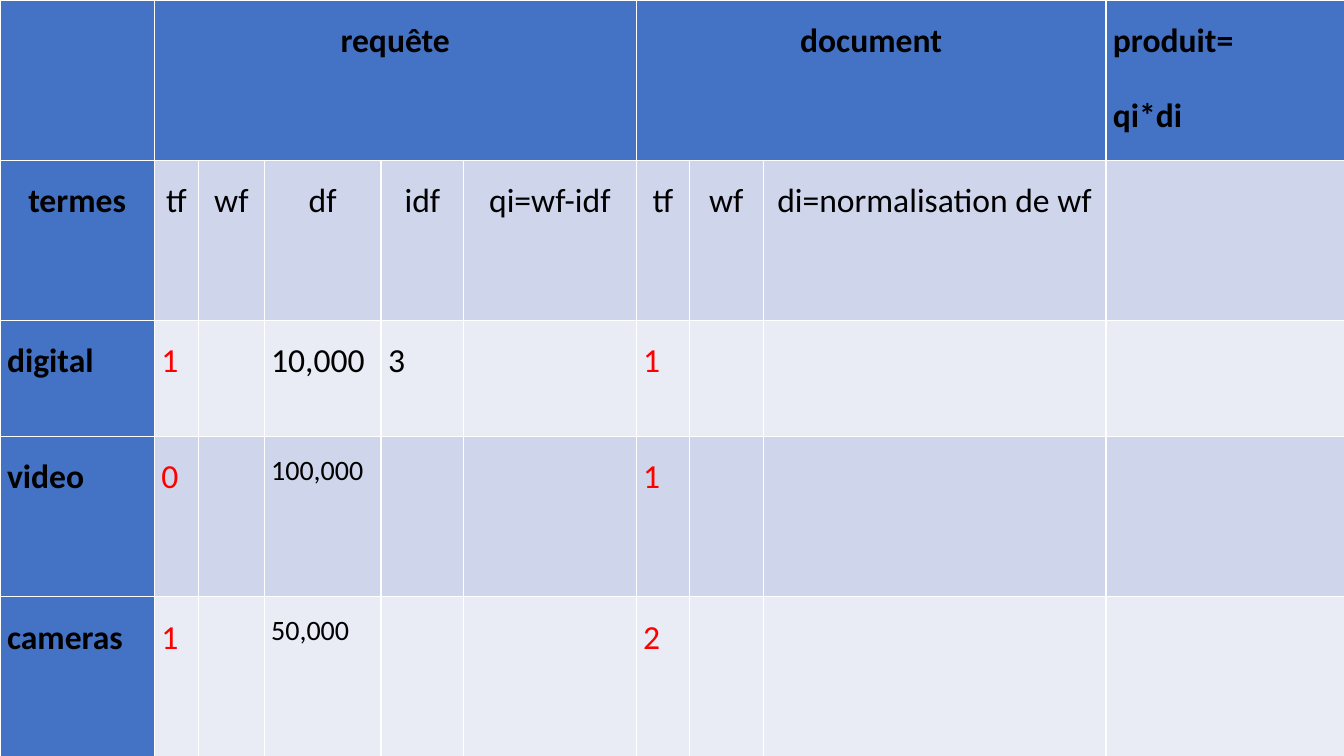
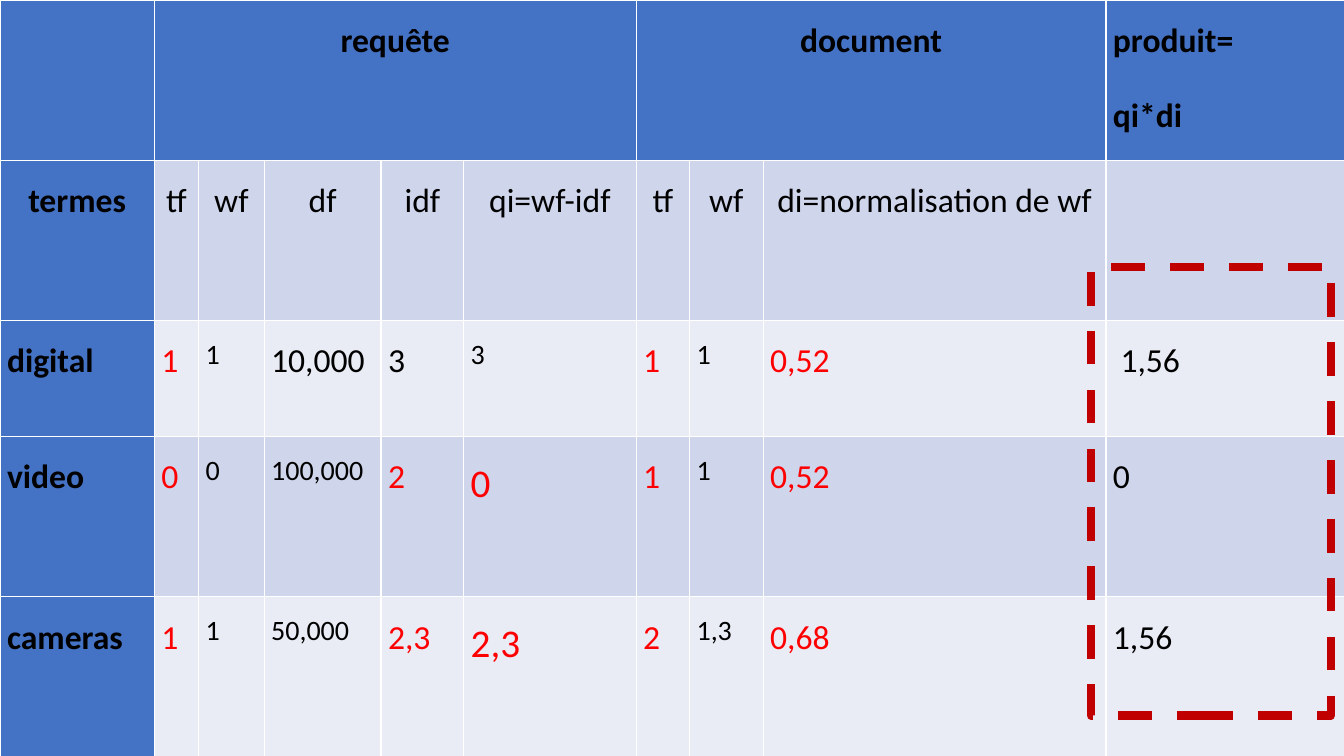
"""Two slides: a tf-idf scoring table to fill in, then the same table solved."""
from pptx import Presentation
from pptx import util as u
from pptx.dml.color import RGBColor
from pptx.enum import dml, shapes, text

FONT = "Calibri"
BLACK, RED, FRAME = "000000", "FF0000", "C00000"
BLUE, BANDS = "4472C4", ("CFD5EA", "E9EBF5")
WIDTH, HEIGHT = 13.33, 7.5

COLUMNS = [1.53, 0.44, 0.65, 1.16, 0.82, 1.71, 0.53, 0.73, 3.4, 2.37]
ROWS = [1.59, 1.59, 1.15, 1.59, 1.59]


def small(value):
    """Style a value as small black text."""
    return value, 20, BLACK


def plain(value):
    """Style a value as regular black text."""
    return value, 24, BLACK


def red(value, size=24):
    """Style a value as red text."""
    return value, size, RED


GROUPS = [("requête", 1, 5), ("document", 6, 8), ("produit=\nqi*di", 9, 9)]
HEADINGS = ["termes", "tf", "wf", "df", "idf", "qi=wf-idf", "tf", "wf", "di=normalisation de wf"]
GIVEN = [
    {0: plain("digital"), 1: red("1"), 3: plain("10,000"), 4: plain("3"), 6: red("1")},
    {0: plain("video"), 1: red("0"), 3: small("100,000"), 6: red("1")},
    {0: plain("cameras"), 1: red("1"), 3: small("50,000"), 6: red("2")},
]
RESULTS = [
    {2: small("1"), 5: small("3"), 7: small("1"), 8: red("0,52"), 9: plain(" 1,56")},
    {2: small("0"), 4: red("2"), 5: red("0", 28), 7: small("1"), 8: red("0,52"), 9: plain("0")},
    {2: small("1"), 4: red("2,3"), 5: red("2,3", 28), 7: small("1,3"), 8: red("0,68"), 9: plain("1,56")},
]


def rgb(code):
    """Turn a hex string into a colour."""
    return RGBColor.from_string(code)


def write(cell, entry, align=text.PP_ALIGN.JUSTIFY, bold=False):
    """Put a styled entry into a table cell."""
    value, size, colour = entry
    cell.margin_left = cell.margin_right = u.Inches(0.07)
    cell.margin_top = cell.margin_bottom = 0
    cell.text_frame.text = value
    for paragraph in cell.text_frame.paragraphs:
        paragraph.alignment = align
        paragraph.line_spacing = 1.5
        paragraph.space_after = u.Pt(10)
        font = paragraph.font
        font.name, font.size, font.bold = FONT, u.Pt(size), bold
        font.color.rgb = rgb(colour)


def add_scores(slide, term_rows):
    """Draw the scoring table over the whole slide."""
    scores = slide.shapes.add_table(len(ROWS), len(COLUMNS), 0, 0, u.Inches(WIDTH), u.Inches(HEIGHT)).table
    scores.first_col = True
    for column, width in zip(scores.columns, COLUMNS):
        column.width = u.Inches(width)
    for row, height in zip(scores.rows, ROWS):
        row.height = u.Inches(height)
    for r in range(len(ROWS)):
        for c in range(len(COLUMNS)):
            fill = scores.cell(r, c).fill
            fill.solid()
            fill.fore_color.rgb = rgb(BLUE if r == 0 or c == 0 else BANDS[(r - 1) % 2])

    for label, first, last in GROUPS:
        group = scores.cell(0, first)
        if last > first:
            group.merge(scores.cell(0, last))
        align = text.PP_ALIGN.CENTER if last > first else text.PP_ALIGN.JUSTIFY
        write(group, plain(label), align, bold=True)
    for c, heading in enumerate(HEADINGS):
        write(scores.cell(1, c), plain(heading), text.PP_ALIGN.CENTER, bold=c == 0)
    for r, entries in enumerate(term_rows, start=2):
        for c, entry in entries.items():
            write(scores.cell(r, c), entry, bold=c == 0)


def add_frame(slide):
    """Draw the dashed frame around the products."""
    place = [u.Inches(n) for n in (10.82, 2.65, 2.38, 4.45)]
    frame = slide.shapes.add_shape(shapes.MSO_SHAPE.RECTANGLE, *place)
    frame.shadow.inherit = False
    frame.fill.background()
    frame.line.color.rgb = rgb(FRAME)
    frame.line.width = u.Pt(6)
    frame.line.dash_style = dml.MSO_LINE.DASH


def main():
    """Build and save the presentation."""
    deck = Presentation()
    deck.slide_width, deck.slide_height = u.Inches(WIDTH), u.Inches(HEIGHT)
    blank = deck.slide_layouts[6]
    add_scores(deck.slides.add_slide(blank), GIVEN)
    solved = deck.slides.add_slide(blank)
    add_scores(solved, [{**given, **result} for given, result in zip(GIVEN, RESULTS)])
    add_frame(solved)
    deck.save("out.pptx")


if __name__ == "__main__":
    main()
